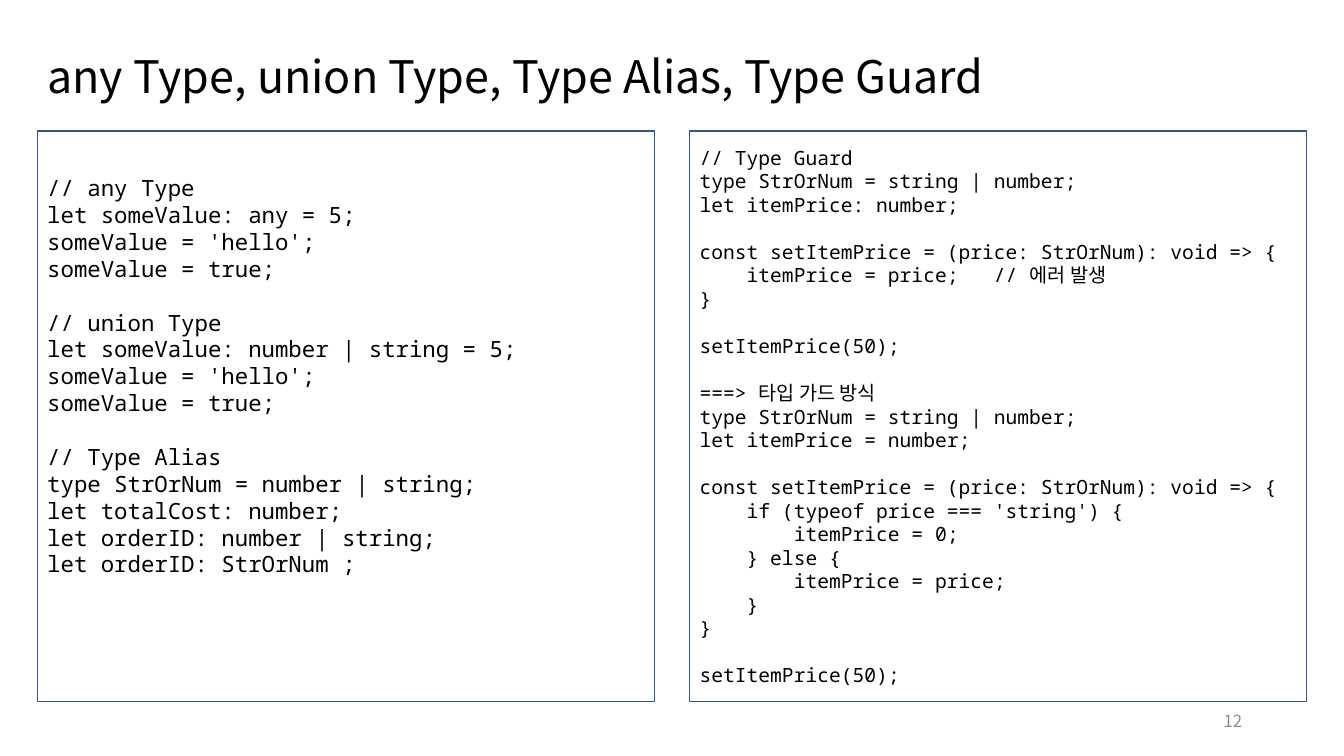
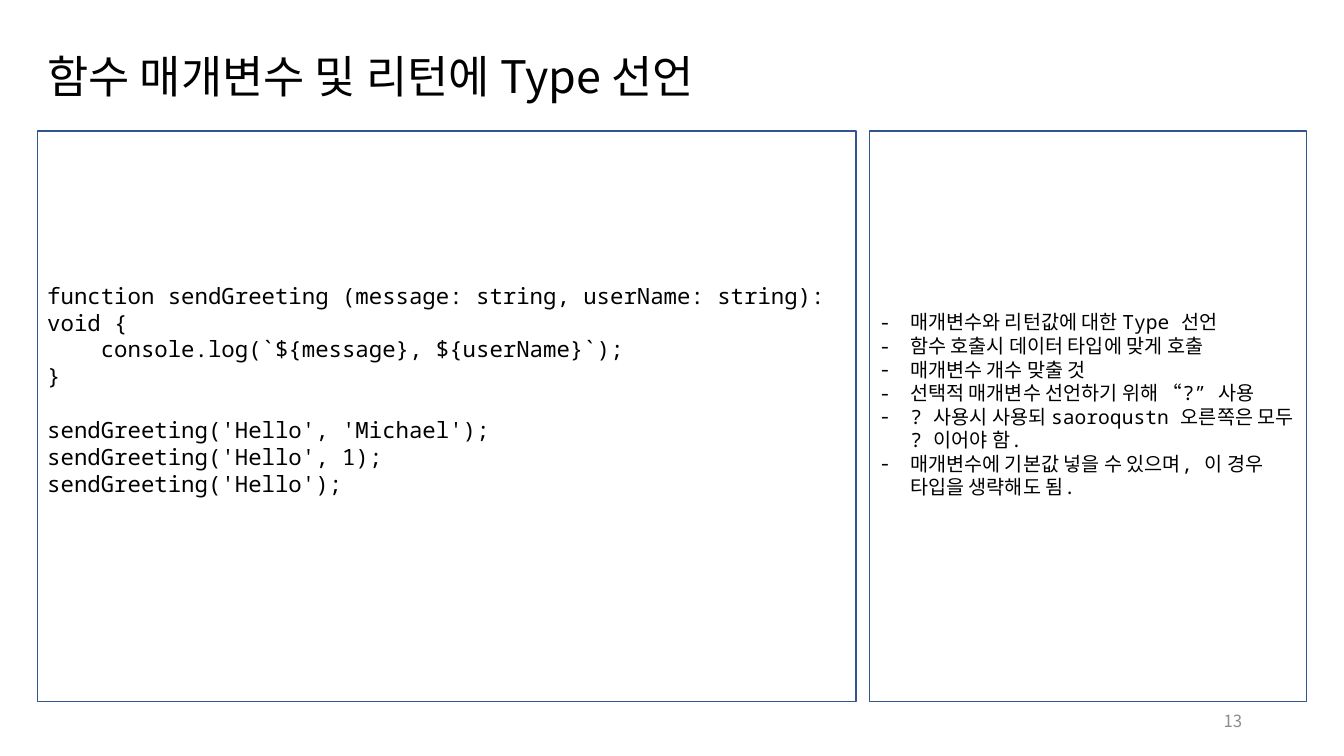
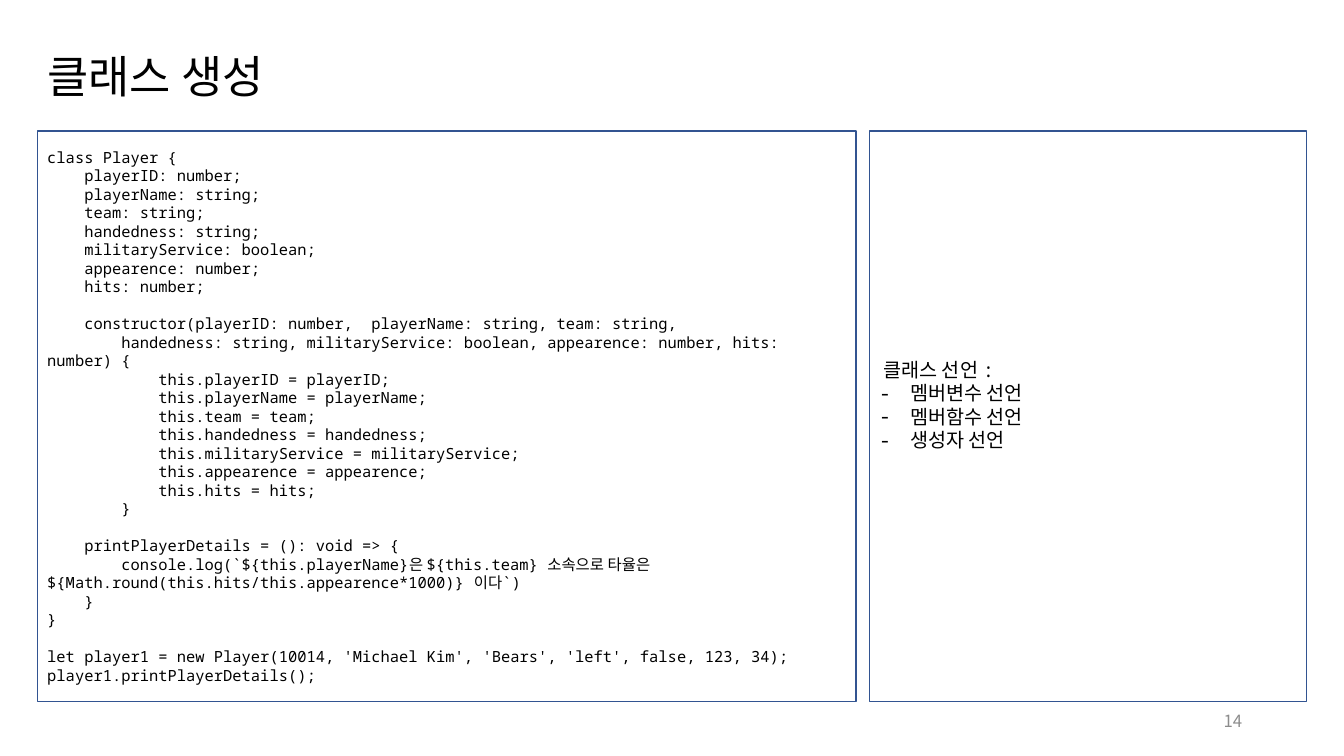
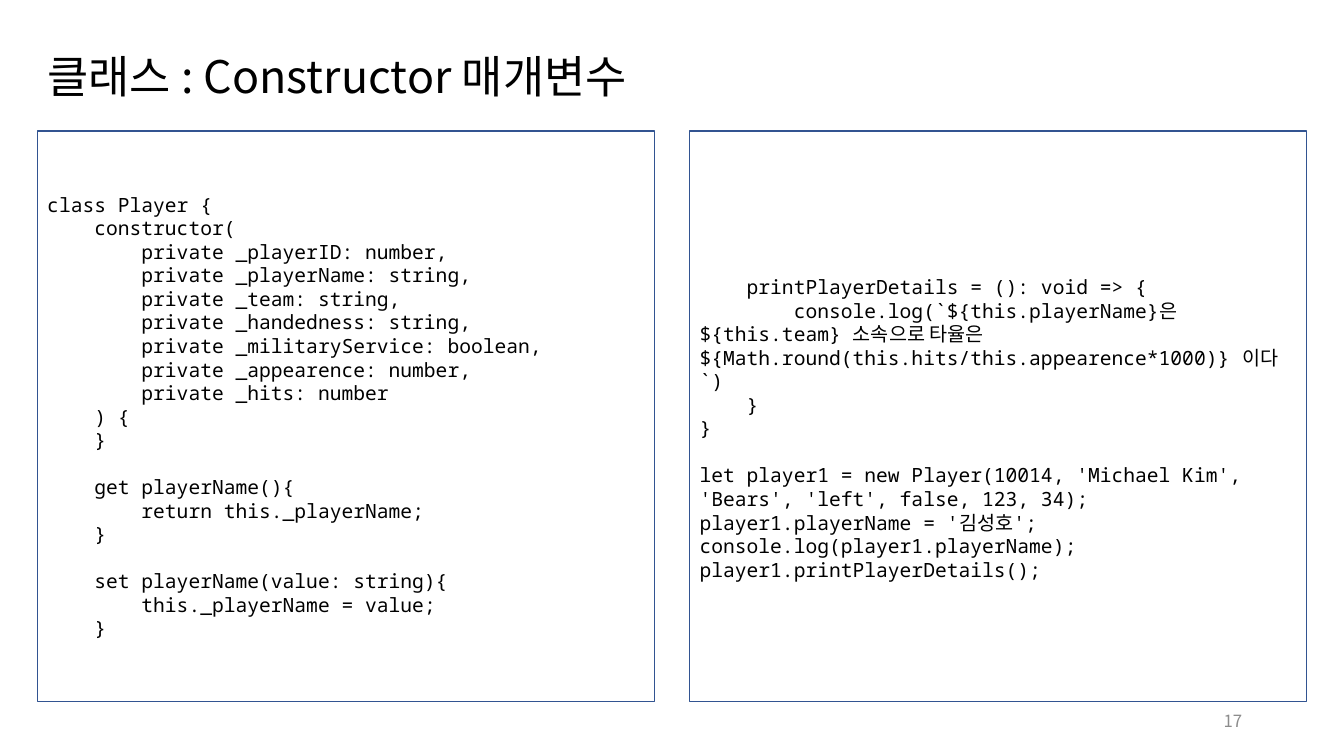
from dataclasses import dataclass

from lxml import etree
from pptx import Presentation
from pptx import util as u
from pptx.dml import color
from pptx.enum import shapes, text
from pptx.oxml import ns


@dataclass(frozen=True)
class Theme:
    ink: str = "000000"
    border: str = "325491"
    muted: str = "8C8C8C"
    sans: str = "Noto Sans CJK KR"
    mono: str = "Noto Sans Mono"
    title_size: int = 32
    number_size: int = 12
    large: int = 16
    medium: int = 14
    small: int = 11
    border_width: float = 0.75
    title_leading: float = 0.9
    code_leading: float = 1.2


THEME = Theme()
PX = 9144
SLIDE_SIZE = (1333, 750)
TITLE_BOX = (37, 40, 1263, 77)
NUMBER_BOX = (942, 695, 300, 40)
PANEL_LEFT, PANEL_RIGHT, PANEL_TOP, PANEL_HEIGHT = 37, 1296, 130, 566
EQUAL = {"first_width": 612, "gap": 35}
WIDE = {"first_width": 812, "gap": 13}
INSET = 5
BULLET_INDENT = 31
BULLET = "- "
GROUP_BREAK = "\n\n"

BASIC_TYPES = """// any Type
let someValue: any = 5;
someValue = 'hello';
someValue = true;

// union Type
let someValue: number | string = 5;
someValue = 'hello';
someValue = true;

// Type Alias
type StrOrNum = number | string;
let totalCost: number;
let orderID: number | string;
let orderID: StrOrNum ;"""

TYPE_GUARD = """// Type Guard
type StrOrNum = string | number;
let itemPrice: number;

const setItemPrice = (price: StrOrNum): void => {
    itemPrice = price;   // 에러 발생
}

setItemPrice(50);

===> 타입 가드 방식
type StrOrNum = string | number;
let itemPrice = number;

const setItemPrice = (price: StrOrNum): void => {
    if (typeof price === 'string') {
        itemPrice = 0;
    } else {
        itemPrice = price;
    }
}

setItemPrice(50);"""

GREETING = """function sendGreeting (message: string, userName: string): void {
    console.log(`${message}, ${userName}`);
}

sendGreeting('Hello', 'Michael');
sendGreeting('Hello', 1);
sendGreeting('Hello');"""

PARAMETER_NOTES = """- 매개변수와 리턴값에 대한 Type 선언
- 함수 호출시 데이터 타입에 맞게 호출
- 매개변수 개수 맞출 것
- 선택적 매개변수 선언하기 위해 “?” 사용
- ? 사용시 사용되 saoroqustn 오른쪽은 모두 ? 이어야 함.
- 매개변수에 기본값 넣을 수 있으며, 이 경우 타입을 생략해도 됨."""

PLAYER_FIELDS = """class Player {
    playerID: number;
    playerName: string;
    team: string;
    handedness: string;
    militaryService: boolean;
    appearence: number;
    hits: number;"""

PLAYER_CONSTRUCTOR = """    constructor(playerID: number,  playerName: string, team: string,
        handedness: string, militaryService: boolean, appearence: number, hits: number) {
            this.playerID = playerID;
            this.playerName = playerName;
            this.team = team;
            this.handedness = handedness;
            this.militaryService = militaryService;
            this.appearence = appearence;
            this.hits = hits;
        }"""

PLAYER_DETAILS = """    printPlayerDetails = (): void => {
        console.log(`${this.playerName}은 ${this.team} 소속으로 타율은
${Math.round(this.hits/this.appearence*1000)} 이다`)
    }
}

let player1 = new Player(10014, 'Michael Kim', 'Bears', 'left', false, 123, 34);
player1.printPlayerDetails();"""

PLAYER_CLASS = GROUP_BREAK.join([PLAYER_FIELDS, PLAYER_CONSTRUCTOR, PLAYER_DETAILS])

CLASS_NOTES = """ 클래스 선언 :
- 멤버변수 선언
- 멤버함수 선언
- 생성자 선언"""

ACCESSORS = """class Player {
    constructor(
        private _playerID: number,
        private _playerName: string,
        private _team: string,
        private _handedness: string,
        private _militaryService: boolean,
        private _appearence: number,
        private _hits: number
    ) {
    }

    get playerName(){
        return this._playerName;
    }

    set playerName(value: string){
        this._playerName = value;
    }"""

PLAYER_USAGE = """    printPlayerDetails = (): void => {
        console.log(`${this.playerName}은
${this.team} 소속으로 타율은
${Math.round(this.hits/this.appearence*1000)} 이다`)
    }
}

let player1 = new Player(10014, 'Michael Kim', 'Bears', 'left', false, 123, 34);
player1.playerName = '김성호';
console.log(player1.playerName);
player1.printPlayerDetails();"""

SLIDES = [
    {"title": "any Type, union Type, Type Alias, Type Guard", "number": 12, "columns": EQUAL,
     "panels": [{"body": BASIC_TYPES, "size": THEME.large, "lines_below": 3},
                {"body": TYPE_GUARD, "size": THEME.medium}]},
    {"title": "함수 매개변수 및 리턴에 Type 선언", "number": 13, "columns": WIDE,
     "panels": [{"body": GREETING, "size": THEME.large, "lines_below": 2},
                {"body": PARAMETER_NOTES, "size": THEME.medium, "lines_below": 1}]},
    {"title": "클래스 생성", "number": 14, "columns": WIDE,
     "panels": [{"body": PLAYER_CLASS, "size": THEME.small},
                {"body": CLASS_NOTES, "size": THEME.medium, "lines_below": 1}]},
    {"title": "클래스 : Constructor 매개변수", "number": 17, "columns": EQUAL,
     "panels": [{"body": ACCESSORS, "size": THEME.medium, "lines_above": 1, "lines_below": 1},
                {"body": PLAYER_USAGE, "size": THEME.medium, "lines_above": 1}]},
]


def apply(target, values):
    for name, value in values.items():
        setattr(target, name, value)


def place(shape, box):
    apply(shape, dict(zip(("left", "top", "width", "height"), (side * PX for side in box))))


def format_frame(frame, **values):
    apply(frame, {"word_wrap": True, "auto_size": text.MSO_AUTO_SIZE.NONE,
                  "vertical_anchor": text.MSO_ANCHOR.MIDDLE, **values})


def write(para, words, size, font=THEME.sans, ink=THEME.ink, **layout):
    apply(para, {"alignment": text.PP_ALIGN.LEFT, **layout})
    span = para.add_run()
    span.text = words
    apply(span.font, {"name": font, "size": u.Pt(size)})
    span.font.color.rgb = color.RGBColor.from_string(ink)
    east_asian = etree.SubElement(span.font._element, ns.qn("a:ea"))
    east_asian.set("typeface", THEME.sans)


def add_bullet(para):
    properties = para._p.get_or_add_pPr()
    properties.set("marL", str(BULLET_INDENT * PX))
    properties.set("indent", str(-BULLET_INDENT * PX))
    etree.SubElement(properties, ns.qn("a:buFont")).set("typeface", THEME.mono)
    etree.SubElement(properties, ns.qn("a:buChar")).set("char", BULLET.strip())


def add_panel(page, box, body, size, lines_above=0, lines_below=0):
    panel = page.shapes.add_shape(shapes.MSO_SHAPE.RECTANGLE, *(side * PX for side in box))
    panel.shadow.inherit = False
    panel.fill.background()
    panel.line.color.rgb = color.RGBColor.from_string(THEME.border)
    panel.line.width = u.Pt(THEME.border_width)
    line_height = u.Pt(size * THEME.code_leading)
    frame = panel.text_frame
    format_frame(frame, margin_top=INSET * PX + lines_above * line_height,
                 margin_bottom=INSET * PX + lines_below * line_height)
    para = frame.paragraphs[0]
    for group_index, group in enumerate(body.split(GROUP_BREAK)):
        for line_index, line in enumerate(group.split("\n")):
            if group_index or line_index:
                para = frame.add_paragraph()
            starts_group = group_index > 0 and line_index == 0
            write(para, line.removeprefix(BULLET), size, THEME.mono, line_spacing=line_height,
                  space_before=line_height if starts_group else u.Pt(0))
            if line.startswith(BULLET):
                add_bullet(para)


def add_title(page, words):
    title = page.shapes.title
    place(title, TITLE_BOX)
    format_frame(title.text_frame)
    write(title.text_frame.paragraphs[0], words, THEME.title_size,
          line_spacing=THEME.title_leading)


def add_number(page, number):
    box = page.shapes.add_textbox(*(side * PX for side in NUMBER_BOX))
    format_frame(box.text_frame)
    write(box.text_frame.paragraphs[0], str(number), THEME.number_size, ink=THEME.muted,
          alignment=text.PP_ALIGN.RIGHT)


def panel_boxes(first_width, gap):
    second_left = PANEL_LEFT + first_width + gap
    return [(left, PANEL_TOP, width, PANEL_HEIGHT) for left, width in
            ((PANEL_LEFT, first_width), (second_left, PANEL_RIGHT - second_left))]


def main():
    deck = Presentation()
    deck.slide_width, deck.slide_height = (side * PX for side in SLIDE_SIZE)
    title_only = deck.slide_layouts[5]
    for content in SLIDES:
        page = deck.slides.add_slide(title_only)
        add_title(page, content["title"])
        add_number(page, content["number"])
        for box, panel in zip(panel_boxes(**content["columns"]), content["panels"]):
            add_panel(page, box, **panel)
    deck.save("out.pptx")


if __name__ == "__main__":
    main()
